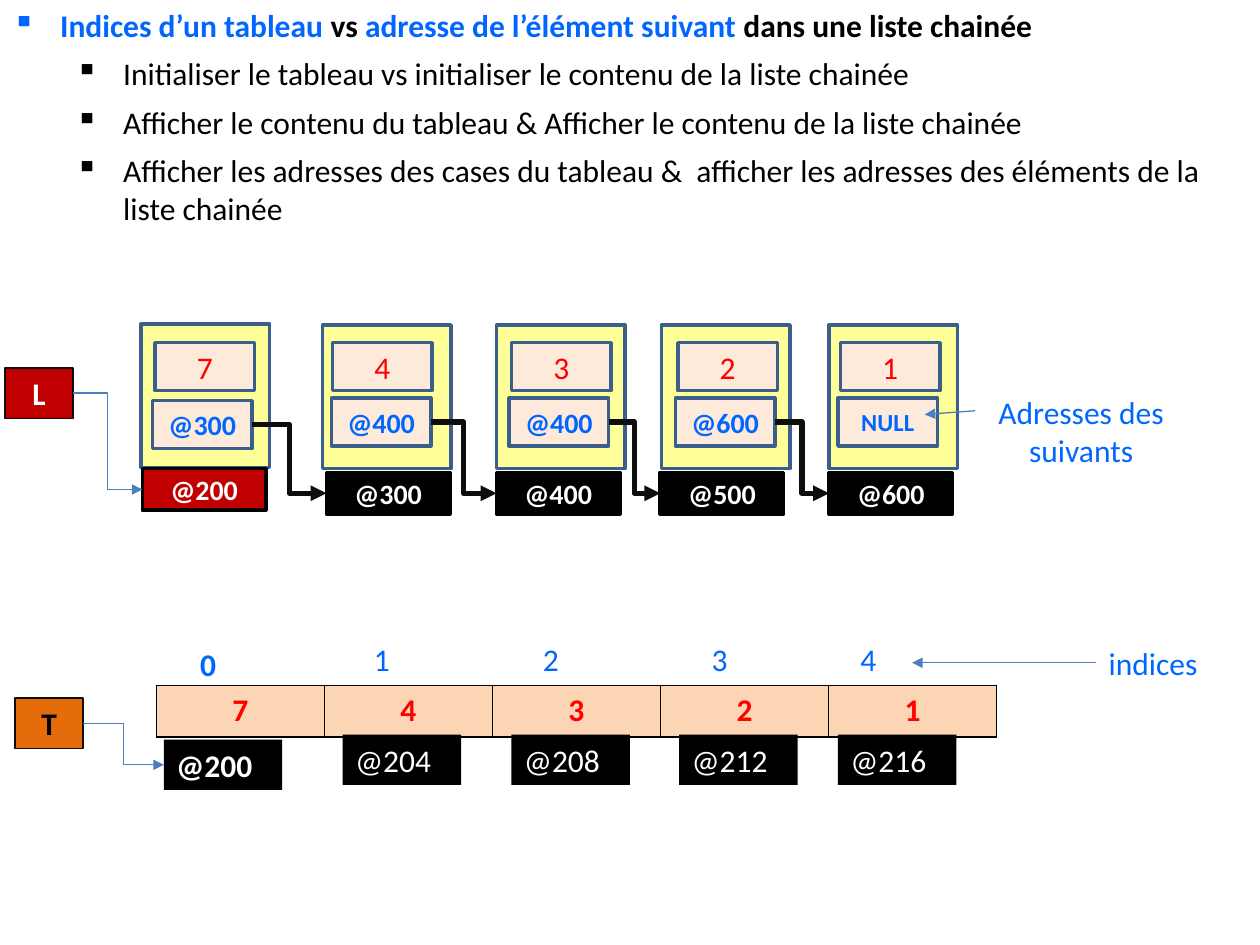
from typing import NamedTuple

from lxml.etree import SubElement
from pptx import Presentation
from pptx.dml.color import RGBColor
from pptx.enum.shapes import MSO_CONNECTOR, MSO_SHAPE
from pptx.enum.text import MSO_ANCHOR, MSO_AUTO_SIZE, PP_ALIGN
from pptx.oxml.ns import qn
from pptx.util import Emu, Pt

PX = 9144  # 100 px to the inch
FONT = "Calibri"
LEFT_SIDE, RIGHT_SIDE = 1, 3  # connection sites of a rectangle
HANGING = 38  # room for a bullet

BLACK = RGBColor(0x00, 0x00, 0x00)
INK = RGBColor(0x0D, 0x0D, 0x0D)
WHITE = RGBColor(0xFF, 0xFF, 0xFF)
BLUE = RGBColor(0x00, 0x66, 0xFF)
RED = RGBColor(0xFF, 0x00, 0x00)
DARK_RED = RGBColor(0xC0, 0x00, 0x00)
ORANGE = RGBColor(0xE4, 0x6C, 0x0A)
PEACH = RGBColor(0xFC, 0xD5, 0xB5)
CREAM = RGBColor(0xFD, 0xEA, 0xDA)
YELLOW = RGBColor(0xFF, 0xFF, 0x99)
NAVY = RGBColor(0x3A, 0x5F, 0x8C)
STEEL = RGBColor(0x4B, 0x7E, 0xBC)

# Extents (width, height)
NODE_EXTENT = (102, 114)
FIELD_EXTENT = (79, 38)
OWN_EXTENT = (98, 33)
CELL_EXTENT = (94, 40)
POINTER_EXTENT = (54, 40)

HEADING = [("Indices d’un tableau", BLUE), (" vs ", BLACK),
           ("adresse de l’élément suivant", BLUE),
           (" dans une liste chainée", BLACK)]
POINTS = [
    "Initialiser le tableau vs initialiser le contenu de la liste chainée",
    "Afficher le contenu du tableau & Afficher le contenu de la liste chainée",
    "Afficher les adresses des cases du tableau &  afficher les adresses "
    "des éléments de la liste chainée",
]


class Node(NamedTuple):
    """A list element: its texts, then the left edge of each part."""
    value: str
    following: str
    own: str
    left: int
    value_left: int
    following_left: int
    own_left: int


class Tops(NamedTuple):
    """Top edge of each part of a list element."""
    node: int
    value: int
    following: int
    own: int


class Cell(NamedTuple):
    """An array element: its texts, then the left edge of each label."""
    value: str
    address: str
    index_left: int
    address_left: int


NODES = [
    Node("7", "@300", "@200", 112, 123, 121, 113),
    Node("4", "@400", "@300", 256, 264, 263, 259),
    Node("3", "@400", "@400", 394, 406, 404, 394),
    Node("2", "@600", "@500", 525, 538, 536, 524),
    Node("1", "NULL", "@600", 658, 667, 665, 658),
]
HEAD_TOPS = Tops(257, 272, 318, 372)
OTHER_TOPS = Tops(258, 272, 316, 375)

CELLS = [
    Cell("7", "@200", 149, 130),
    Cell("4", "@204", 287, 272),
    Cell("3", "@208", 421, 406),
    Cell("2", "@212", 555, 539),
    Cell("1", "@216", 673, 665),
]
INDEX_TOP, ADDRESS_TOP = 503, 583
FIRST_CELL_DROP = 4  # labels of cell 0 sit slightly lower


def px(*lengths):
    return [Emu(length * PX) for length in lengths]


def write(paragraph, text, size=18, color=BLACK, bold=False, align=PP_ALIGN.LEFT):
    paragraph.alignment = align
    run = paragraph.add_run()
    run.text = text
    run.font.name = FONT
    run.font.size = Pt(size)
    run.font.bold = bold
    run.font.color.rgb = color


def label(slide, text, spot, extent, **style):
    box = slide.shapes.add_textbox(*px(*spot, *extent))
    box.text_frame.word_wrap = True
    box.text_frame.auto_size = MSO_AUTO_SIZE.SHAPE_TO_FIT_TEXT
    write(box.text_frame.paragraphs[0], text, color=BLUE, **style)
    return box


def block(slide, spot, extent, fill, line=None, line_width=2, text="", **style):
    rect = slide.shapes.add_shape(MSO_SHAPE.RECTANGLE, *px(*spot, *extent))
    rect.shadow.inherit = False
    rect.fill.solid()
    rect.fill.fore_color.rgb = fill
    if line is None:
        rect.line.fill.background()
    else:
        rect.line.color.rgb = line
        rect.line.width = Pt(line_width)
    if text:
        rect.text_frame.vertical_anchor = MSO_ANCHOR.MIDDLE
        write(rect.text_frame.paragraphs[0], text, **style)
    return rect


def pointer(slide, name, spot, fill, color, target):
    source = block(slide, spot, POINTER_EXTENT, fill, INK, 0.75, name,
                   color=color, bold=True, align=PP_ALIGN.CENTER)
    elbow_arrow(slide, source, target)


def finish_arrow(link, color, width):
    link.line.color.rgb = color
    link.line.width = Pt(width)
    properties = link._element.spPr
    SubElement(properties.find(qn("a:ln")), qn("a:tailEnd"), type="triangle")
    SubElement(properties, qn("a:effectLst"))


def elbow_arrow(slide, source, target, color=STEEL, width=0.75):
    link = slide.shapes.add_connector(MSO_CONNECTOR.ELBOW, 0, 0, 0, 0)
    link.begin_connect(source, RIGHT_SIDE)
    link.end_connect(target, LEFT_SIDE)
    finish_arrow(link, color, width)


def straight_arrow(slide, start, end):
    link = slide.shapes.add_connector(MSO_CONNECTOR.STRAIGHT, *px(*start, *end))
    finish_arrow(link, STEEL, 0.75)
    return link


def bullet(paragraph, level, margin):
    paragraph.level = level
    paragraph.space_after = Pt(6)
    properties = paragraph._p.get_or_add_pPr()
    properties.set("marL", str(margin * PX))
    properties.set("indent", str(-HANGING * PX))
    SubElement(properties, qn("a:buChar"), char="▪")


def add_border(cell):
    properties = cell._tc.get_or_add_tcPr()
    for position, side in enumerate(("lnL", "lnR", "lnT", "lnB")):
        edge = properties.makeelement(qn(f"a:{side}"), {"w": str(Pt(1))})
        fill = SubElement(edge, qn("a:solidFill"))
        SubElement(fill, qn("a:srgbClr"), val=str(BLACK))
        properties.insert(position, edge)


def add_outline(slide):
    frame = slide.shapes.add_textbox(*px(0, 0, 1000, 187)).text_frame
    frame.word_wrap = True
    heading = frame.paragraphs[0]
    bullet(heading, 0, HANGING)
    for text, color in HEADING:
        write(heading, text, color=color, bold=True)
    for point in POINTS:
        paragraph = frame.add_paragraph()
        bullet(paragraph, 1, HANGING + 50)
        write(paragraph, point)


def add_array(slide):
    # Values
    array = slide.shapes.add_table(1, len(CELLS), *px(124, 544, 667, 41)).table
    array.first_row = array.horz_banding = False
    for box, element in zip(array.rows[0].cells, CELLS):
        box.fill.solid()
        box.fill.fore_color.rgb = PEACH
        add_border(box)
        write(box.text_frame.paragraphs[0], element.value, color=RED, bold=True,
              align=PP_ALIGN.CENTER)

    # Indices above, addresses below
    addresses = []
    for index, element in enumerate(CELLS):
        first = index == 0
        drop = FIRST_CELL_DROP if first else 0
        label(slide, str(index), (element.index_left, INDEX_TOP + drop),
              CELL_EXTENT, bold=first)
        addresses.append(block(slide, (element.address_left, ADDRESS_TOP + drop),
                               CELL_EXTENT, BLACK, text=element.address,
                               color=WHITE, bold=first))

    # Array pointer and caption of the indices
    pointer(slide, "T", (12, 554), ORANGE, BLACK, addresses[0])
    caption = label(slide, "indices", (870, 506), (118, 40))
    straight_arrow(slide, (870, 526), (724, 526)).begin_connect(caption, LEFT_SIDE)


def add_node(slide, node, is_head):
    tops = HEAD_TOPS if is_head else OTHER_TOPS
    centred = {"align": PP_ALIGN.CENTER}
    block(slide, (node.left, tops.node), NODE_EXTENT, YELLOW, NAVY)
    own = block(slide, (node.own_left, tops.own), OWN_EXTENT,
                DARK_RED if is_head else BLACK, BLACK, text=node.own,
                size=16, color=WHITE, bold=True, **centred)
    following = block(slide, (node.following_left, tops.following), FIELD_EXTENT,
                      CREAM, NAVY, text=node.following,
                      size=14 if node.following == "NULL" else 16,
                      color=BLUE, bold=True, **centred)
    block(slide, (node.value_left, tops.value), FIELD_EXTENT, CREAM, NAVY,
          text=node.value, color=RED, **centred)
    return own, following


def add_linked_list(slide):
    parts = [add_node(slide, node, node is NODES[0]) for node in NODES]
    owns, followings = zip(*parts)
    for following, next_own in zip(followings, owns[1:]):
        elbow_arrow(slide, following, next_own, INK, 3)

    # List pointer and caption of the next addresses
    pointer(slide, "L", (4, 292), DARK_RED, WHITE, owns[0])
    label(slide, "Adresses des suivants", (774, 307), (168, 71),
          align=PP_ALIGN.CENTER)
    straight_arrow(slide, (774, 326), (734, 329))


def main():
    deck = Presentation()
    deck.slide_width, deck.slide_height = px(1000, 750)
    slide = deck.slides.add_slide(deck.slide_layouts[6])
    add_outline(slide)
    add_array(slide)
    add_linked_list(slide)
    deck.save("out.pptx")


if __name__ == "__main__":
    main()
